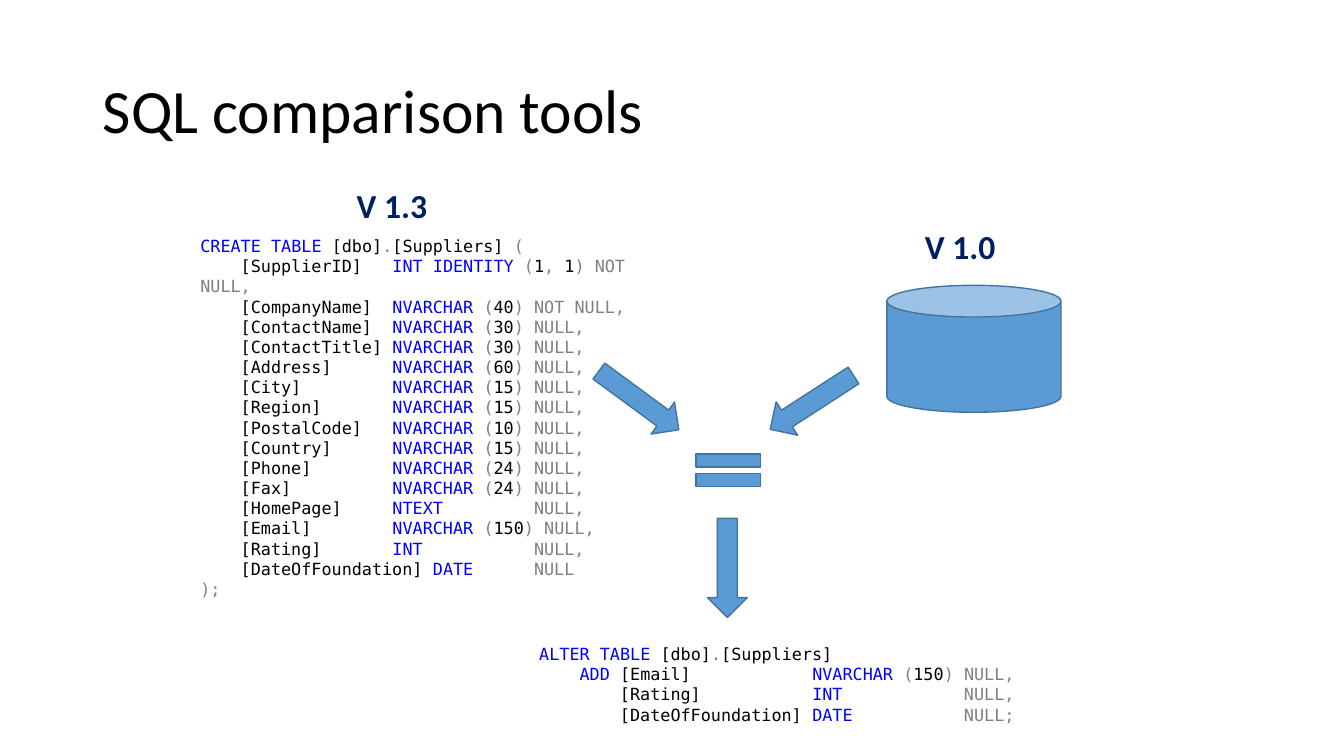
from itertools import groupby

from pptx import Presentation
from pptx.dml.color import RGBColor
from pptx.enum.shapes import MSO_SHAPE
from pptx.enum.text import MSO_ANCHOR, PP_ALIGN
from pptx.util import Cm, Pt

CAN = MSO_SHAPE.CAN
DOWN_ARROW = MSO_SHAPE.DOWN_ARROW
EQUAL = MSO_SHAPE.MATH_EQUAL
LEFT = PP_ALIGN.LEFT
TOP, MIDDLE, BOTTOM = MSO_ANCHOR.TOP, MSO_ANCHOR.MIDDLE, MSO_ANCHOR.BOTTOM
TITLE_ONLY = 5

KEYWORDS = {"CREATE", "ALTER", "TABLE", "ADD", "INT", "IDENTITY",
            "NVARCHAR", "NTEXT", "DATE"}
OPERATORS = {"NOT", "NULL"}
PUNCTUATION = "(),.;"

CREATE_SCRIPT = """\
CREATE TABLE [dbo].[Suppliers] (
    [SupplierID]   INT IDENTITY (1, 1) NOT NULL,
    [CompanyName]  NVARCHAR (40) NOT NULL,
    [ContactName]  NVARCHAR (30) NULL,
    [ContactTitle] NVARCHAR (30) NULL,
    [Address]      NVARCHAR (60) NULL,
    [City]         NVARCHAR (15) NULL,
    [Region]       NVARCHAR (15) NULL,
    [PostalCode]   NVARCHAR (10) NULL,
    [Country]      NVARCHAR (15) NULL,
    [Phone]        NVARCHAR (24) NULL,
    [Fax]          NVARCHAR (24) NULL,
    [HomePage]     NTEXT         NULL,
    [Email]        NVARCHAR (150) NULL,
    [Rating]       INT           NULL,
    [DateOfFoundation] DATE      NULL
);"""

ALTER_SCRIPT = """\
ALTER TABLE [dbo].[Suppliers]
    ADD [Email]            NVARCHAR (150) NULL,
        [Rating]           INT            NULL,
        [DateOfFoundation] DATE           NULL;"""


def color(hex_string):
    return RGBColor.from_string(hex_string)


def token_kind(character):
    if character in PUNCTUATION:
        return "punctuation"
    return "space" if character == " " else "word"


class SlideBuilder:
    text_font, code_font = "Calibri", "DejaVu Sans Mono"
    black, navy = "000000", "002060"
    keyword, operator = "0000FF", "808080"
    fill, outline = "5B9BD5", "43739E"

    def __init__(self, slide):
        self.slide = slide

    def format_run(self, run, font_name, size, hex_color, bold=False):
        run.font.name = font_name
        run.font.size = Pt(size)
        run.font.color.rgb = color(hex_color)
        run.font.bold = bold

    def title(self, text, left, top, width, height):
        title = self.slide.shapes.title
        title.left, title.top = Cm(left), Cm(top)
        title.width, title.height = Cm(width), Cm(height)
        title.text_frame.text = text
        title.text_frame.vertical_anchor = MIDDLE
        paragraph = title.text_frame.paragraphs[0]
        paragraph.alignment = LEFT
        paragraph.line_spacing = 0.9
        self.format_run(paragraph.runs[0], self.text_font, 44, self.black)

    def text_box(self, left, top, width, height, anchor):
        box = self.slide.shapes.add_textbox(Cm(left), Cm(top), Cm(width), Cm(height))
        box.text_frame.word_wrap = True
        box.text_frame.vertical_anchor = anchor
        return box

    def caption(self, text, left, top):
        box = self.text_box(left, top, 3, 1.35, BOTTOM)
        box.text_frame.text = text
        run = box.text_frame.paragraphs[0].runs[0]
        self.format_run(run, self.text_font, 24, self.navy, bold=True)
        return box

    def code(self, script, left, top, width, height):
        box = self.text_box(left, top, width, height, TOP)
        frame = box.text_frame
        frame.text = script
        for paragraph, line in zip(frame.paragraphs, script.splitlines()):
            paragraph.clear()
            for kind, characters in groupby(line, token_kind):
                run = paragraph.add_run()
                run.text = "".join(characters)
                token_color = self.black
                if run.text in KEYWORDS:
                    token_color = self.keyword
                elif kind == "punctuation" or run.text in OPERATORS:
                    token_color = self.operator
                self.format_run(run, self.code_font, 12, token_color)
        return box

    def shape(self, preset, left, top, width, height, rotation=0):
        shape = self.slide.shapes.add_shape(
            preset, Cm(left), Cm(top), Cm(width), Cm(height))
        shape.rotation = rotation
        shape.shadow.inherit = False
        shape.fill.solid()
        shape.fill.fore_color.rgb = color(self.fill)
        shape.line.color.rgb = color(self.outline)
        shape.line.width = Pt(1)
        return shape

    def arrow(self, left, top, rotation=0):
        return self.shape(DOWN_ARROW, left, top, 1, 2.5, rotation)

    def group(self, *members):
        return self.slide.shapes.add_group_shape(members)


def main():
    presentation = Presentation()
    presentation.slide_width, presentation.slide_height = Cm(33.87), Cm(19.05)
    layout = presentation.slide_layouts[TITLE_ONLY]
    builder = SlideBuilder(presentation.slides.add_slide(layout))

    builder.title("SQL comparison tools", 2.34, 1.02, 29.21, 3.68)

    # Newer version: the table script
    builder.group(builder.code(CREATE_SCRIPT, 4.8, 5.82, 11.94, 8.97),
                  builder.caption("V 1.3", 8.74, 4.45))

    # Resulting change script
    builder.code(ALTER_SCRIPT, 13.34, 16.1, 12.7, 2.31)

    # Older version: the database
    builder.group(builder.shape(CAN, 22.35, 7.19, 4.39, 3.2),
                  builder.caption("V 1.0", 23.06, 5.49))

    # Comparison flow
    builder.arrow(15.6, 8.84, 306.3)
    builder.arrow(19.96, 8.89, 57.1)
    builder.shape(EQUAL, 17.25, 11.15, 2.21, 1.4)
    builder.arrow(17.83, 13.06)

    presentation.save("out.pptx")


if __name__ == "__main__":
    main()
